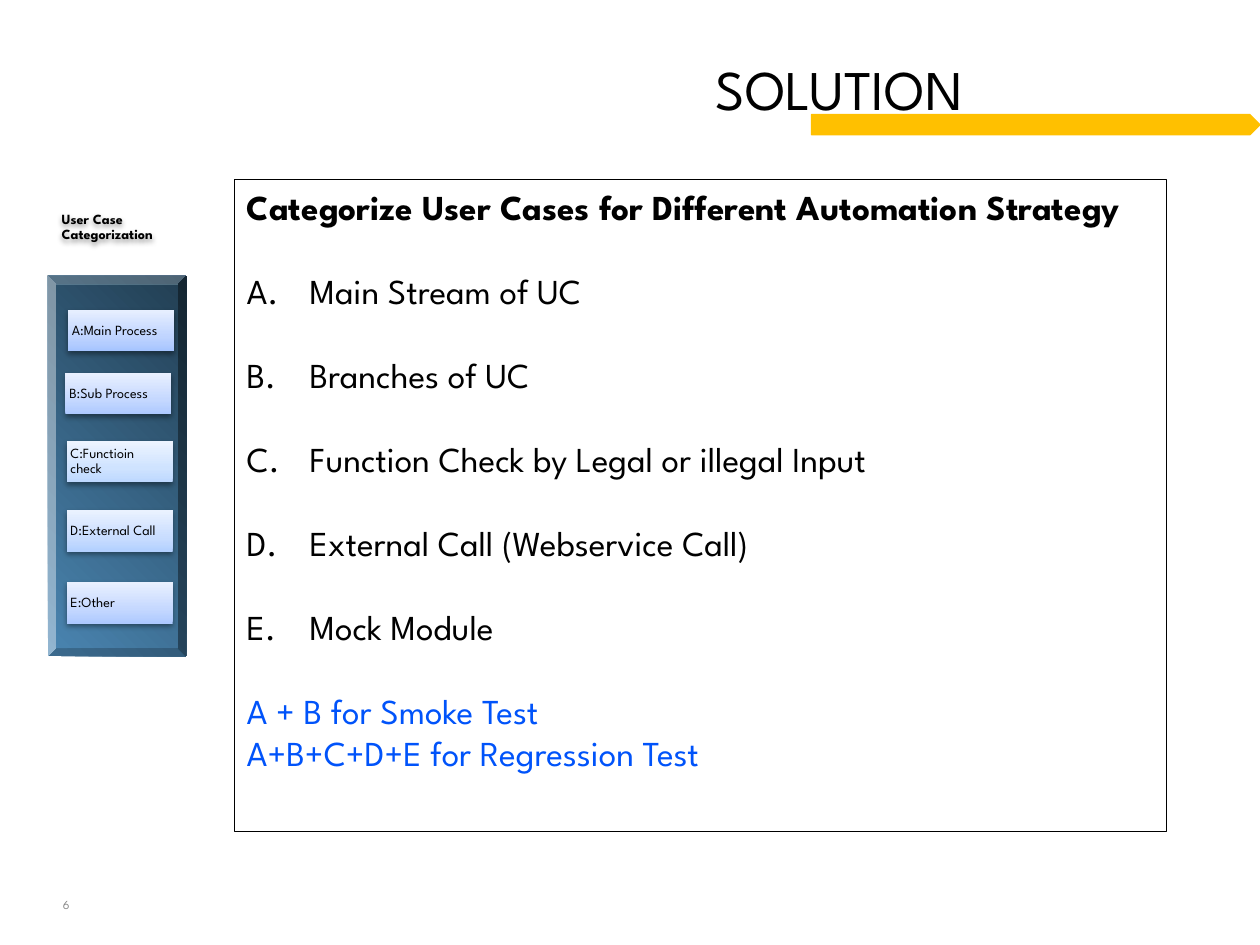
from lxml import etree
from pptx import Presentation
from pptx.dml.color import RGBColor
from pptx.enum.shapes import MSO_SHAPE
from pptx.enum.text import MSO_ANCHOR, MSO_AUTO_SIZE, PP_ALIGN
from pptx.oxml.ns import qn
from pptx.util import Emu, Inches, Pt

RECT, BEVEL, PLATE = MSO_SHAPE.RECTANGLE, MSO_SHAPE.BEVEL, MSO_SHAPE.PENTAGON
TOP, MIDDLE, LEFT = MSO_ANCHOR.TOP, MSO_ANCHOR.MIDDLE, PP_ALIGN.LEFT
FONT = "League Spartan"
COLORS = {"text": "000000", "accent": "FFC000", "summary": "0053FA", "number": "878787"}
PANEL_STOPS = [(0, "4A85B1"), (100, "223E52")]

# Category label, left and top inches within the panel, gradient from bottom to top
CATEGORIES = [
    ("A:Main Process", 0.16, 0.27, ("A5C4FF", "BFD4FF", "E7EFFF")),
    ("B:Sub Process", 0.14, 0.77, ("ADC9FF", "C5D8FF", "E9F0FF")),
    ("C:Functioin check", 0.15, 1.31, ("BDD8FF", "CFE3FF", "EDF4FF")),
    ("D:External Call", 0.15, 1.86, ("B2D0FF", "C9DDFF", "EAF2FF")),
    ("E:Other", 0.15, 2.43, ("ADC9FF", "C5D8FF", "E9F0FF")),
]
HEADING = "Categorize User Cases for Different Automation Strategy"
STRATEGIES = [
    "Main Stream of UC",
    "Branches of UC",
    "Function Check by Legal or illegal Input",
    "External Call (Webservice Call)",
    "Mock Module",
]
SUMMARY = ["A + B for Smoke Test", "A+B+C+D+E for Regression Test"]


def rgb(name):
    return RGBColor.from_string(COLORS[name])


def inches(box):
    return [Inches(length) for length in box]


def style(paragraph, size, color="text", bold=False):
    paragraph.alignment = LEFT
    font = paragraph.font
    font.name, font.size, font.bold = FONT, Pt(size), bold
    font.color.rgb = rgb(color)


def add_plain(slide, kind, box):
    shape = slide.shapes.add_shape(kind, *inches(box))
    shape.shadow.inherit = False
    shape.fill.background()
    shape.line.fill.background()
    return shape


def set_gradient(shape, stops, angle):
    shape.fill.gradient()
    shape.fill.gradient_angle = angle
    stop_list = shape._element.spPr.find(qn("a:gradFill")).find(qn("a:gsLst"))
    for old_stop in list(stop_list):
        stop_list.remove(old_stop)
    for position, color in stops:
        stop = etree.SubElement(stop_list, qn("a:gs"), pos=str(position * 1000))
        etree.SubElement(stop, qn("a:srgbClr"), val=color)


def add_shadow(shape):
    effects = shape._element.spPr.find(qn("a:effectLst"))
    shadow = etree.SubElement(
        effects, qn("a:outerShdw"), blurRad=str(Pt(3.1)), dist=str(Pt(1.6)),
        dir="5400000", rotWithShape="0")
    color = etree.SubElement(shadow, qn("a:srgbClr"), val="000000")
    etree.SubElement(color, qn("a:alpha"), val="38000")


def add_label(slide, text, box, bold=False):
    label = add_plain(slide, RECT, box)
    add_shadow(label)
    frame = label.text_frame
    frame.word_wrap, frame.vertical_anchor = True, MIDDLE
    frame.margin_left = frame.margin_right = Inches(0.03)
    frame.margin_top = frame.margin_bottom = Inches(0.03)
    paragraph = frame.paragraphs[0]
    paragraph.text, paragraph.line_spacing = text, 0.9
    style(paragraph, 8, bold=bold)
    return label


def add_title(slide, box):
    left, top, width, height = box
    # Accent bar running to the slide's right edge
    bar = add_plain(slide, PLATE, (left + 6.07, top + 0.45, 3.56, 0.16))
    bar.fill.solid()
    bar.fill.fore_color.rgb = rgb("accent")
    bar.line.color.rgb = rgb("accent")
    bar.line.width = Pt(0.75)
    # Title text, indented past the middle
    title = slide.shapes.title
    title.left, title.top, title.width, title.height = inches(box)
    frame = title.text_frame
    frame.auto_size, frame.vertical_anchor = MSO_AUTO_SIZE.NONE, TOP
    frame.margin_left = Inches(5.31)
    paragraph = frame.paragraphs[0]
    paragraph.text, paragraph.line_spacing = "SOLUTION", Pt(33)
    style(paragraph, 32)


def add_category_panel(slide, box):
    left, top, width, height = box
    panel = add_plain(slide, BEVEL, box)
    panel.adjustments[0] = 0.059
    set_gradient(panel, PANEL_STOPS, 45)
    label_size = (0.84, 0.33)
    for text, dx, dy, colors in CATEGORIES:
        label = add_label(slide, text, (left + dx, top + dy, *label_size))
        set_gradient(label, zip((0, 35, 100), colors), 90)
    # Caption above the panel
    add_label(slide, "User Case Categorization", (left + 0.08, top - 0.55, 0.94, 0.33), True)


def add_strategy_box(slide, box):
    outline = add_plain(slide, RECT, box)
    outline.line.color.rgb = rgb("text")
    outline.line.width = Pt(0.25)
    frame = outline.text_frame
    frame.word_wrap, frame.vertical_anchor = True, TOP

    heading = frame.paragraphs[0]
    heading.text = HEADING
    style(heading, 20, bold=True)

    for strategy in STRATEGIES:
        item = frame.add_paragraph()
        item.text, item.space_before = strategy, Pt(24)
        properties = item._p.get_or_add_pPr()
        properties.set("marL", str(Inches(0.5)))
        properties.set("indent", str(-Inches(0.5)))
        etree.SubElement(properties, qn("a:buFont"), typeface="+mj-lt")
        etree.SubElement(properties, qn("a:buAutoNum"), type="alphaUcPeriod")
        style(item, 20)

    for index, text in enumerate(SUMMARY):
        line = frame.add_paragraph()
        line.text, line.space_before = text, Pt(0 if index else 24)
        style(line, 20, "summary")


def add_page_number(slide, box):
    number = slide.shapes.add_textbox(*inches(box))
    frame = number.text_frame
    frame.word_wrap, frame.vertical_anchor = True, MIDDLE
    frame.paragraphs[0].text = "6"
    style(frame.paragraphs[0], 7, "number")


def main():
    deck = Presentation()
    deck.slide_width, deck.slide_height = Emu(Inches(10)), Emu(Inches(7.5))
    slide = deck.slides.add_slide(deck.slide_layouts[5])
    add_page_number(slide, (0.4, 7.07, 0.42, 0.22))
    add_title(slide, (0.37, 0.46, 9.16, 0.96))
    add_strategy_box(slide, (1.86, 1.42, 7.4, 5.18))
    add_category_panel(slide, (0.38, 2.19, 1.1, 3.02))
    deck.save("out.pptx")


if __name__ == "__main__":
    main()
